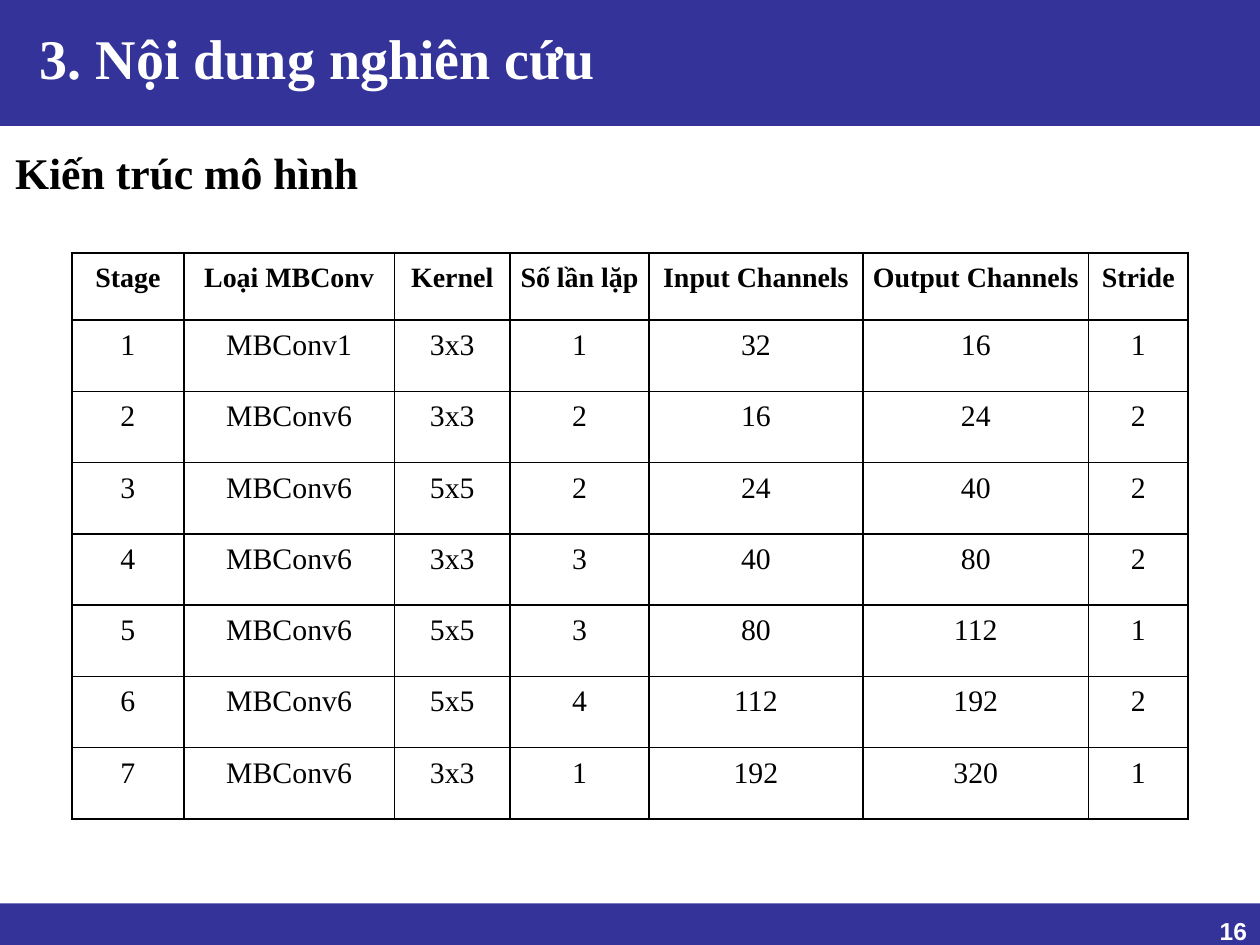
from itertools import pairwise

from lxml import etree
from pptx import Presentation, util as u
from pptx.dml.color import RGBColor
from pptx.enum import shapes, text
from pptx.oxml import ns

COLORS = {"band": "333399", "light": "FFFFFF", "ink": "000000"}
SERIF, SANS = "Times New Roman", "Arial"
COLS, ROWS = 100, 75  # grid over the slide

HEADERS = ["Stage", "Loại MBConv", "Kernel", "Số lần lặp",
           "Input Channels", "Output Channels", "Stride"]
CHANNELS = [32, 16, 24, 40, 80, 112, 192, 320]
KERNELS = [3, 3, 5, 3, 5, 5, 3]
REPEATS = [1, 2, 2, 3, 3, 4, 1]
STRIDES = [1, 2, 2, 2, 1, 2, 1]


class Deck:
    def __init__(self):
        self.prs = Presentation()
        self.prs.slide_width, self.prs.slide_height = u.Inches(10), u.Inches(7.5)
        self.s = self.prs.slides.add_slide(self.prs.slide_layouts[5])

    def x(self, cols):
        return round(self.prs.slide_width * cols / COLS)

    def y(self, rows):
        return round(self.prs.slide_height * rows / ROWS)

    def box(self, left, top, width, height):
        return self.x(left), self.y(top), self.x(width), self.y(height)

    def color(self, name):
        return RGBColor.from_string(COLORS[name])

    def add_text(self, tf, content, size, color="ink", bold=True, font=SERIF,
                 align=text.PP_ALIGN.LEFT, spacing=None):
        p = tf.paragraphs[0]
        p.alignment = align
        if spacing:
            p.line_spacing = spacing
        r = p.add_run()
        r.text = content
        r.font.size, r.font.bold, r.font.name = u.Pt(size), bold, font
        r.font.color.rgb = self.color(color)

    def band(self, top, height):
        """Full-width bar placed behind everything else."""
        sp = self.s.shapes.add_shape(shapes.MSO_SHAPE.RECTANGLE,
                                     *self.box(0, top, COLS, height))
        sp.shadow.inherit = False
        sp.fill.solid()
        sp.fill.fore_color.rgb = self.color("band")
        sp.line.fill.background()
        self.s.shapes._spTree.insert(2, sp._element)

    def fill_frame(self, sp, content, size, **style):
        tf = sp.text_frame
        tf.word_wrap = True
        tf.auto_size = text.MSO_AUTO_SIZE.SHAPE_TO_FIT_TEXT
        tf.vertical_anchor = text.MSO_ANCHOR.TOP
        tf.margin_left = tf.margin_right = tf.margin_bottom = 0
        tf.margin_top = u.Inches(0.01)
        self.add_text(tf, content, size, **style)

    def title(self, content, box, size):
        sp = self.s.shapes.title
        sp.left, sp.top, sp.width, sp.height = self.box(*box)
        self.fill_frame(sp, content, size, color="light")

    def label(self, content, box, size, **style):
        self.fill_frame(self.s.shapes.add_textbox(*self.box(*box)),
                        content, size, **style)

    def borders(self, cell):
        tc_pr = cell._tc.get_or_add_tcPr()
        for i, side in enumerate(("lnL", "lnR", "lnT", "lnB")):
            ln = etree.Element(ns.qn(f"a:{side}"), w=str(u.Pt(1)))
            fill = etree.SubElement(ln, ns.qn("a:solidFill"))
            etree.SubElement(fill, ns.qn("a:srgbClr"), val=COLORS["ink"])
            tc_pr.insert(i, ln)

    def table(self, rows, left, top, widths, heights):
        frame = self.s.shapes.add_table(
            len(rows), len(widths), *self.box(left, top, sum(widths), sum(heights)))
        table = frame.table
        table.first_row = table.horz_banding = False
        for col, width in zip(table.columns, widths):
            col.width = self.x(width)
        for i, (row, height) in enumerate(zip(rows, heights)):
            table.rows[i].height = self.y(height)
            for j, value in enumerate(row):
                cell = table.cell(i, j)
                cell.margin_left = cell.margin_right = u.Inches(0.07)
                cell.margin_top = cell.margin_bottom = u.Inches(0.07)
                cell.fill.background()
                self.borders(cell)
                self.add_text(cell.text_frame, str(value), 17 if i else 16,
                              bold=i == 0, align=text.PP_ALIGN.CENTER)


def main():
    deck = Deck()
    deck.band(0, 10)
    deck.band(71.7, 3.3)
    deck.title("3. Nội dung nghiên cứu", (3.15, 1.8, 67.1, 5.5), 32)
    deck.label("Kiến trúc mô hình", (1.2, 11.5, 97.7, 4.3), 25)
    deck.label("16", (96.8, 72.2, 2.9, 2.4), 14, color="light", font=SANS,
               spacing=1.18)

    stages = [
        (n, f"MBConv{1 if n == 1 else 6}", f"{k}x{k}", repeat, *channels, stride)
        for n, (k, repeat, channels, stride)
        in enumerate(zip(KERNELS, REPEATS, pairwise(CHANNELS), STRIDES), 1)]
    deck.table([HEADERS, *stages], 5.7, 20.1,
               [8.9, 16.7, 9.2, 11, 17, 17.9, 7.9],
               [5.3] + [5.66] * len(stages))
    deck.prs.save("out.pptx")


if __name__ == "__main__":
    main()
